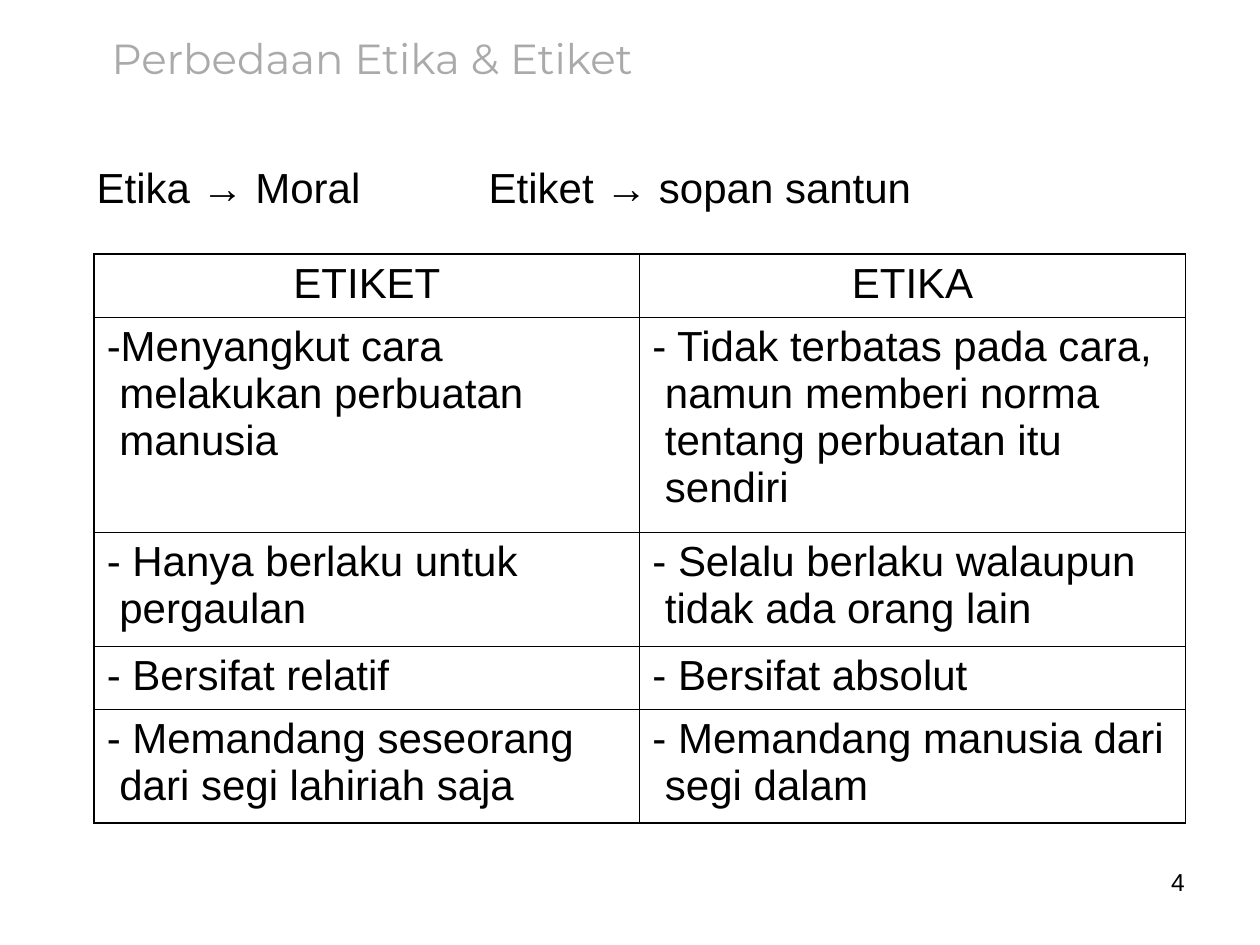
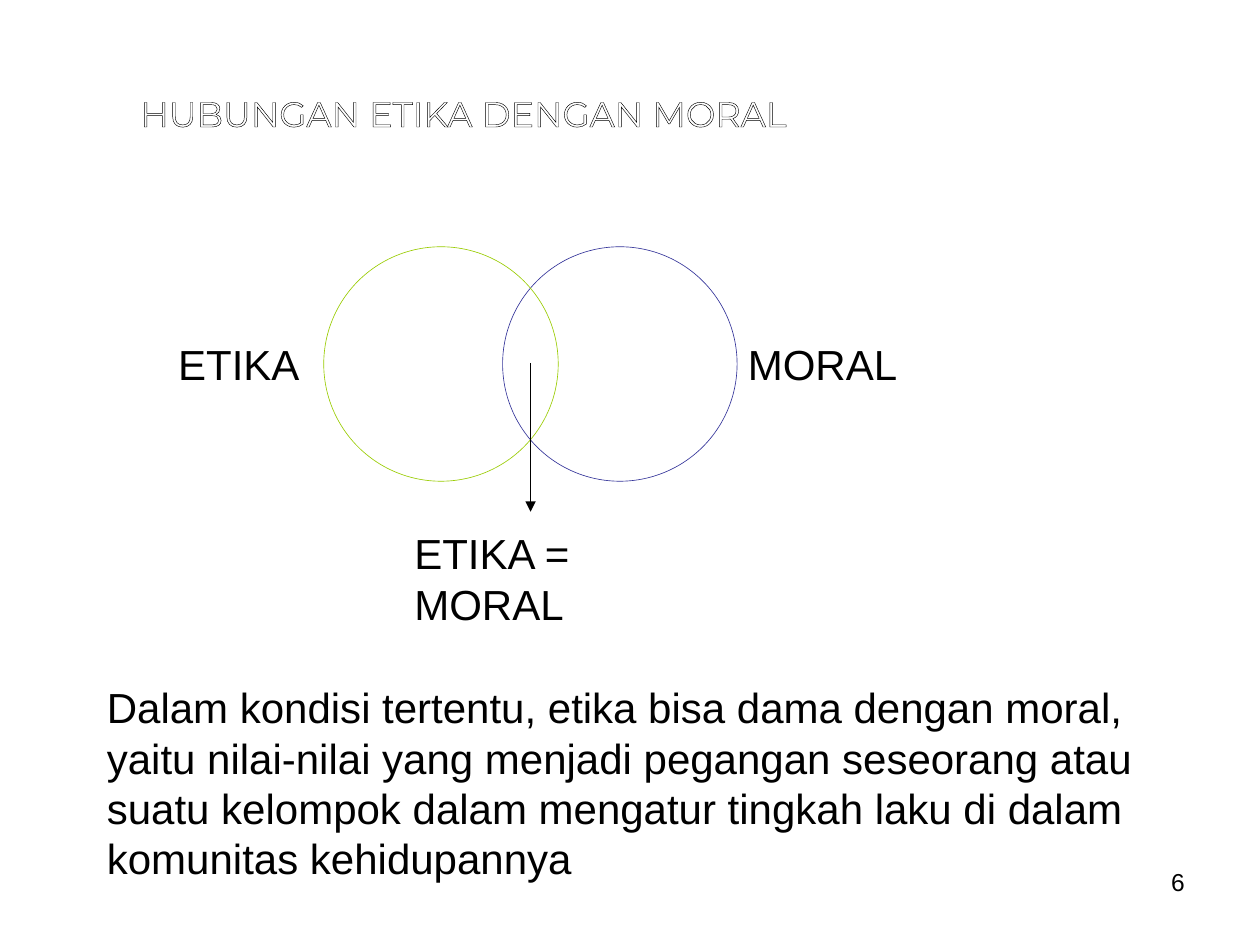
from dataclasses import dataclass

from lxml import etree
from pptx import Presentation
from pptx.dml.color import RGBColor
from pptx.enum.shapes import MSO_CONNECTOR, MSO_SHAPE
from pptx.enum.text import MSO_ANCHOR, PP_ALIGN
from pptx.oxml.ns import qn
from pptx.slide import Slide
from pptx.util import Pt

LEFT, MID, RIGHT = PP_ALIGN.LEFT, PP_ALIGN.CENTER, PP_ALIGN.RIGHT
TOP, CORE = MSO_ANCHOR.TOP, MSO_ANCHOR.MIDDLE
OVAL, LINE = MSO_SHAPE.OVAL, MSO_CONNECTOR.STRAIGHT

BLACK = RGBColor(0x00, 0x00, 0x00)
WHITE = RGBColor(0xFF, 0xFF, 0xFF)
GRAY = RGBColor(0xAA, 0xAA, 0xAA)
LIME = RGBColor(0x99, 0xCC, 0x00)
BLUE = RGBColor(0x33, 0x33, 0x99)

BODY, HEAD = "Arial", "Montserrat"
SIZE = 24
THICK, THIN = 1.08, 0.45


@dataclass(frozen=True)
class Box:
    x: float
    y: float
    w: float
    h: float


@dataclass(frozen=True)
class Ring:
    name: str
    x: float
    label: float
    tint: RGBColor


ROWS = [
    (36.2, "ETIKET", "ETIKA"),
    (122.8, "-Menyangkut cara melakukan perbuatan manusia",
     "- Tidak terbatas pada cara, namun memberi norma tentang perbuatan itu sendiri"),
    (64.8, "- Hanya berlaku untuk pergaulan",
     "- Selalu berlaku walaupun tidak ada orang lain"),
    (36.2, "- Bersifat relatif", "- Bersifat absolut"),
    (64.8, "- Memandang seseorang dari segi lahiriah saja",
     "- Memandang manusia dari segi dalam"),
]
RINGS = [Ring("MORAL", 287.2, 420, BLUE), Ring("ETIKA", 185, 86.5, LIME)]
RING_TOP, RING_SIZE = 141, 134


def add_line(host, tag: str, width: float, tint: RGBColor):
    line = etree.SubElement(host, qn(tag), w=str(Pt(width)))
    fill = etree.SubElement(line, qn("a:solidFill"))
    etree.SubElement(fill, qn("a:srgbClr"), val=str(tint))
    return line


def write(frame, text: str, *, size: float = SIZE, font: str = BODY,
          tint: RGBColor = BLACK, fade: RGBColor | None = None,
          edge: float = 0, align=LEFT, before: float = 0,
          hang: float = 0, tab: float = 0) -> None:
    para = frame.paragraphs[0]
    para.alignment = align
    para.space_before = Pt(before)
    props = para._p.get_or_add_pPr()
    if hang:
        props.set("marL", str(Pt(hang)))
        props.set("indent", str(-Pt(hang)))
    if tab:
        stops = etree.SubElement(props, qn("a:tabLst"))
        etree.SubElement(stops, qn("a:tab"), pos=str(Pt(tab)), algn="l")
    run = para.add_run()
    run.text = text
    run.font.size = Pt(size)
    run.font.name = font
    if fade is None:
        run.font.fill.solid()
        run.font.fill.fore_color.rgb = tint
    else:
        run.font.fill.gradient()
        run.font.fill.gradient_angle = 270
        for stop, shade in zip(run.font.fill.gradient_stops, (tint, fade)):
            stop.color.rgb = shade
    if edge:
        style = run._r.get_or_add_rPr()
        style.insert(0, add_line(style, "a:ln", edge, BLACK))


def add_text(slide: Slide, box: Box, text: str, *, wrap: bool = True,
             inset: bool = True, anchor=TOP, **form) -> None:
    shape = slide.shapes.add_textbox(Pt(box.x), Pt(box.y), Pt(box.w), Pt(box.h))
    frame = shape.text_frame
    frame.word_wrap = wrap
    frame.vertical_anchor = anchor
    frame.margin_left = frame.margin_right = Pt(7.2 if inset else 0)
    frame.margin_top = frame.margin_bottom = Pt(3.6 if inset else 0)
    write(frame, text, **form)


def add_title(slide: Slide, box: Box, text: str, **form) -> None:
    add_text(slide, box, text, wrap=False, font=HEAD, align=MID, **form)


def add_body(slide: Slide, box: Box, text: str, **form) -> None:
    add_text(slide, box, text, before=15, **form)


def add_page(slide: Slide, page: int) -> None:
    add_text(slide, Box(516, 492, 168, 37.5), str(page), size=14, align=RIGHT)


def add_grid(slide: Slide, box: Box) -> None:
    last = len(ROWS) - 1
    grid = slide.shapes.add_table(len(ROWS), 2, Pt(box.x), Pt(box.y),
                                  Pt(box.w), Pt(box.h)).table
    grid.first_row = grid.horz_banding = False
    for col in grid.columns:
        col.width = Pt(box.w / 2)
    for i, (tall, *texts) in enumerate(ROWS):
        grid.rows[i].height = Pt(tall)
        for j, text in enumerate(texts):
            cell = grid.cell(i, j)
            form = {"hang": 7.2} if i else {"align": MID}
            write(cell.text_frame, text, before=6, **form)
            sides = {"L": j == 0, "R": j == 1, "T": i == 0, "B": i == last}
            for side, outer in sides.items():
                add_line(cell._tc.get_or_add_tcPr(), f"a:ln{side}",
                         THICK if outer else THIN, BLACK)
            cell.fill.background()


def add_ring(slide: Slide, ring: Ring) -> None:
    shape = slide.shapes.add_shape(OVAL, Pt(ring.x), Pt(RING_TOP),
                                   Pt(RING_SIZE), Pt(RING_SIZE))
    shape.shadow.inherit = False
    shape.fill.background()
    shape.line.color.rgb = ring.tint
    shape.line.width = Pt(0.37)
    add_text(slide, Box(ring.label, 191, 100, 33.5), ring.name, wrap=False,
             inset=False, anchor=CORE, align=MID)


def add_arrow(slide: Slide, x: float, start: float, end: float) -> None:
    arrow = slide.shapes.add_connector(LINE, Pt(x), Pt(start), Pt(x), Pt(end))
    arrow.line.color.rgb = BLACK
    arrow.line.width = Pt(0.74)
    props = arrow._element.spPr
    etree.SubElement(props.find(qn("a:ln")), qn("a:tailEnd"), type="triangle")
    etree.SubElement(props, qn("a:effectLst"))


def draw_table(slide: Slide) -> None:
    add_grid(slide, Box(53.8, 145.3, 623.6, 324.8))
    add_title(slide, Box(48.2, 15, 329, 34), "Perbedaan Etika & Etiket",
              tint=GRAY, fade=WHITE)
    add_body(slide, Box(48.2, 88.5, 527, 36),
             "Etika → Moral\tEtiket → sopan santun", tab=224)
    add_page(slide, 4)


def draw_rings(slide: Slide) -> None:
    for ring in RINGS:
        add_ring(slide, ring)
    add_body(slide, Box(229.7, 298, 175.7, 65), "ETIKA = MORAL")
    add_arrow(slide, 303.2, 207.4, 292.4)
    add_body(slide, Box(54, 386, 612, 122.4),
             "Dalam kondisi tertentu, etika bisa dama dengan moral, yaitu "
             "nilai-nilai yang menjadi pegangan seseorang atau suatu kelompok "
             "dalam mengatur tingkah laku di dalam komunitas kehidupannya")
    add_title(slide, Box(25.2, 49, 479.5, 29), "HUBUNGAN ETIKA DENGAN MORAL",
              size=20, tint=WHITE, edge=0.74)
    add_page(slide, 6)


def main() -> None:
    deck = Presentation()
    deck.slide_width, deck.slide_height = Pt(720), Pt(540)
    for draw in (draw_table, draw_rings):
        draw(deck.slides.add_slide(deck.slide_layouts[6]))
    deck.save("out.pptx")


main()
